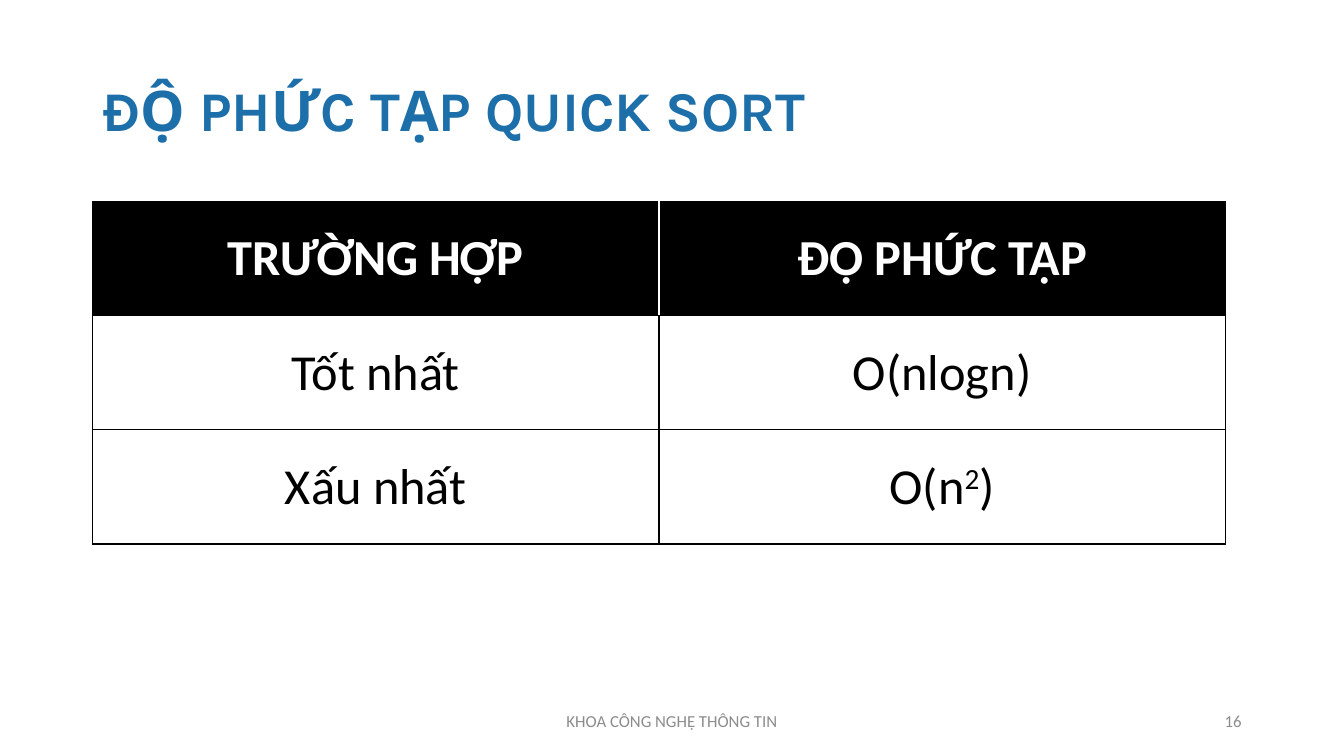
from lxml.etree import SubElement
from pptx import Presentation
from pptx.dml.color import RGBColor
from pptx.enum.text import MSO_ANCHOR, MSO_AUTO_SIZE, PP_ALIGN
from pptx.oxml.ns import qn
from pptx.util import Cm, Pt

COLORS = {"blue": "1D6FA9", "black": "000000", "white": "FFFFFF", "gray": "8C8C8C"}


class SlideBuilder:
    body_font = "Calibri"
    title_font = "Karla"

    def __init__(self, slide):
        self.slide = slide

    def style(self, paragraph, size, color, bold=False, align=PP_ALIGN.LEFT, font=body_font):
        paragraph.alignment = align
        for run in paragraph.runs:
            run.font.name = font
            run.font.size = Pt(size)
            run.font.bold = bold
            run.font.color.rgb = RGBColor.from_string(COLORS[color])

    def place(self, shape, left, top, width, height):
        shape.left, shape.top = Cm(left), Cm(top)
        shape.width, shape.height = Cm(width), Cm(height)

    def title(self, text, *box):
        heading = self.slide.shapes.title
        self.place(heading, *box)
        frame = heading.text_frame
        frame.text = text
        frame.word_wrap = True
        frame.auto_size = MSO_AUTO_SIZE.NONE
        frame.vertical_anchor = MSO_ANCHOR.MIDDLE
        frame.paragraphs[0].line_spacing = 0.9
        self.style(frame.paragraphs[0], 40, "blue", True, font=self.title_font)

    def footer(self, text, align, *box):
        frame = self.slide.shapes.add_textbox(*map(Cm, box)).text_frame
        frame.text = text
        frame.word_wrap = True
        frame.vertical_anchor = MSO_ANCHOR.MIDDLE
        self.style(frame.paragraphs[0], 12, "gray", align=align)

    def borders(self, cell, colors):
        properties = cell._tc.get_or_add_tcPr()
        for index, (side, color) in enumerate(colors.items()):
            line = SubElement(properties, qn(f"a:ln{side}"), w=str(Pt(1)))
            fill = SubElement(line, qn("a:solidFill"))
            SubElement(fill, qn("a:srgbClr"), val=COLORS[color])
            properties.insert(index, line)

    def table(self, rows, *box):
        grid = self.slide.shapes.add_table(len(rows), len(rows[0]), *map(Cm, box)).table
        grid.horz_banding = False
        for row, texts in enumerate(rows):
            header = row == 0
            for column, text in enumerate(texts):
                cell = grid.cell(row, column)
                cell.vertical_anchor = MSO_ANCHOR.MIDDLE
                paragraph = cell.text_frame.paragraphs[0]
                for index, part in enumerate(text.split("^")):
                    run = paragraph.add_run()
                    run.text = part
                    if index == 1:
                        run._r.get_or_add_rPr().set("baseline", "30000")
                self.style(paragraph, 36, "white" if header else "black", header, PP_ALIGN.CENTER)
                if header:
                    cell.fill.solid()
                    cell.fill.fore_color.rgb = RGBColor.from_string(COLORS["black"])
                else:
                    cell.fill.background()
                edges = dict.fromkeys("LRTB", "black")
                if header:
                    edges["R" if column == 0 else "L"] = "white"
                self.borders(cell, edges)


deck = Presentation()
deck.slide_width, deck.slide_height = Cm(33.87), Cm(19.05)
builder = SlideBuilder(deck.slides.add_slide(deck.slide_layouts[5]))

builder.title("ĐỘ PHỨC TẠP QUICK SORT", 2.33, 1.01, 29.21, 3.68)
complexities = [
    ("TRƯỜNG HỢP", "ĐỘ PHỨC TẠP"),
    ("Tốt nhất", "O(nlogn)"),
    ("Xấu nhất", "O(n^2^)"),
]
builder.table(complexities, 2.33, 5.08, 28.55, 8.63)
builder.footer("16", PP_ALIGN.RIGHT, 23.92, 17.66, 7.62, 1.01)
builder.footer("KHOA CÔNG NGHỆ THÔNG TIN", PP_ALIGN.CENTER, 11.22, 17.66, 11.43, 1.01)

deck.save("out.pptx")
